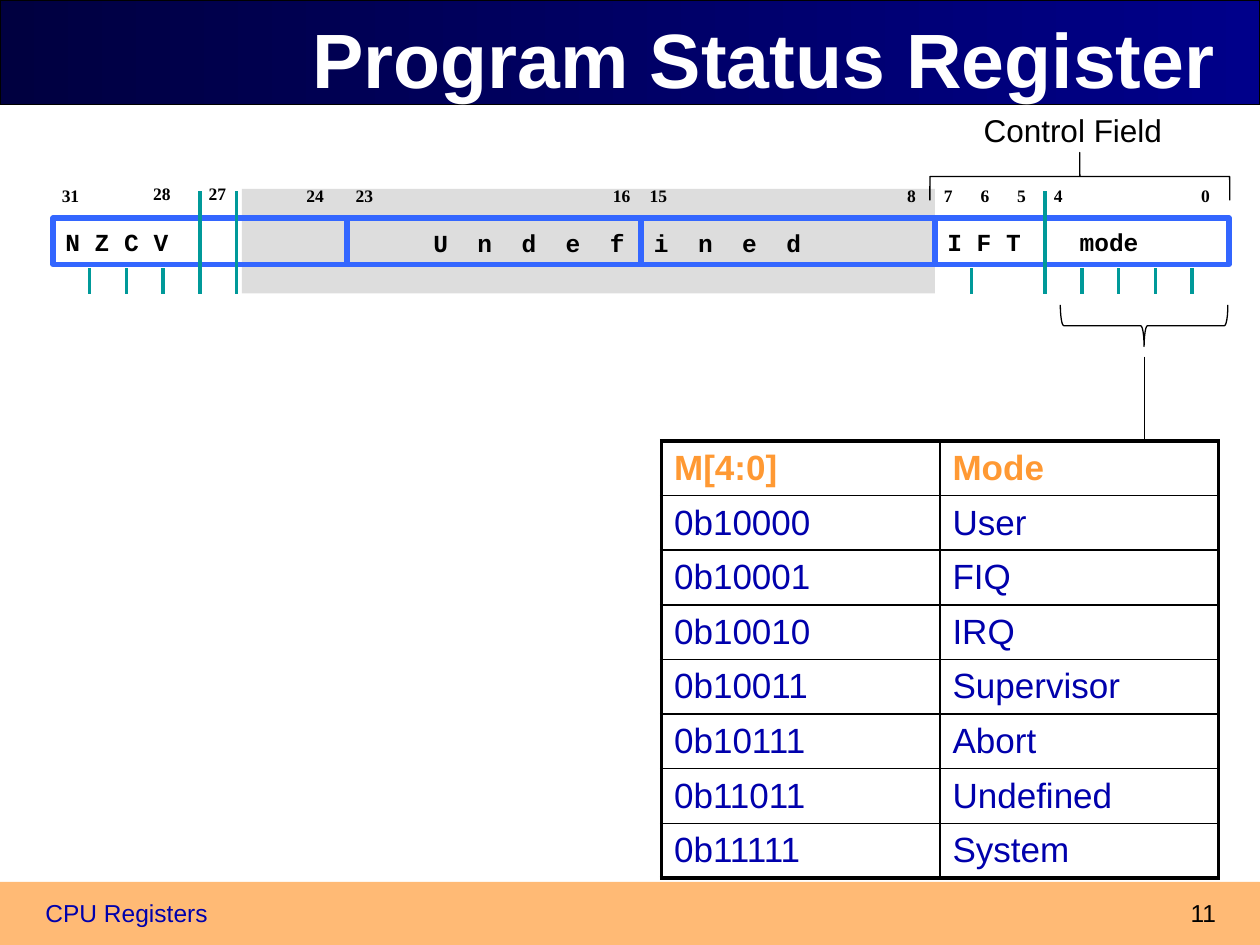
from lxml import etree
from pptx import Presentation, util as u
from pptx.dml import color
from pptx.enum import shapes, text
from pptx.oxml import ns

I = u.Inches
COLORS = {
    "black": "000000", "white": "FFFFFF", "navy": "000040", "blue": "00008A",
    "ink": "0000AC", "orange": "FF9933", "footer": "FFBA75", "grey": "DDDDDD",
    "field": "3366FF", "tick": "009999",
}
ALIGN = {"l": text.PP_ALIGN.LEFT, "c": text.PP_ALIGN.CENTER, "r": text.PP_ALIGN.RIGHT}
BIT = 7 / 24
MODES = [
    ("M[4:0]", "Mode"), ("0b10000", "User"), ("0b10001", "FIQ"),
    ("0b10010", "IRQ"), ("0b10011", "Supervisor"), ("0b10111", "Abort"),
    ("0b11011", "Undefined"), ("0b11111", "System"),
]


def rgb(name):
    return color.RGBColor.from_string(COLORS[name])


def write(tf, words, size=14, font="Arial", ink="black", bold=False, align="l",
          anchor=text.MSO_ANCHOR.TOP, inset=(0.1, 0.05), wrap=True, tracking=None, tab=None):
    tf.word_wrap = wrap
    tf.auto_size = text.MSO_AUTO_SIZE.NONE
    tf.vertical_anchor = anchor
    tf.margin_left = tf.margin_right = I(inset[0])
    tf.margin_top = tf.margin_bottom = I(inset[1])
    p = tf.paragraphs[0]
    p.alignment = ALIGN[align]
    r = p.add_run()
    r.text = words
    r.font.size, r.font.name, r.font.bold = u.Pt(size), font, bold
    r.font.color.rgb = rgb(ink)
    if tracking:
        r.font._element.set("spc", str(int(tracking * 100)))
    if tab:
        stops = etree.SubElement(p._p.get_or_add_pPr(), ns.qn("a:tabLst"))
        etree.SubElement(stops, ns.qn("a:tab"), pos=str(I(tab)), algn="l")


def add_text(s, box, words, **fmt):
    write(s.shapes.add_textbox(*map(I, box)).text_frame, words, **fmt)


def add_shape(s, box, kind=shapes.MSO_SHAPE.RECTANGLE, fill=None, line=None, width=0.75):
    sp = s.shapes.add_shape(kind, *map(I, box))
    sp.shadow.inherit = False
    if fill:
        sp.fill.solid()
        sp.fill.fore_color.rgb = rgb(fill)
    else:
        sp.fill.background()
    if line:
        sp.line.color.rgb = rgb(line)
        sp.line.width = u.Pt(width)
    else:
        sp.line.fill.background()
    return sp


def add_vertical(s, x, top, bottom, ink, width):
    c = s.shapes.add_connector(shapes.MSO_CONNECTOR.STRAIGHT, I(x), I(top), I(x), I(bottom))
    c.line.color.rgb = rgb(ink)
    c.line.width = u.Pt(width)
    etree.SubElement(c._element.spPr, ns.qn("a:effectLst"))


def add_brace(s, box, rotation, curve):
    sp = add_shape(s, box, shapes.MSO_SHAPE.RIGHT_BRACE, line="black")
    sp.rotation = rotation
    sp.adjustments[0], sp.adjustments[1] = curve, 0.5


def add_header(s, box):
    band = add_shape(s, box, line="black")
    band.fill.gradient()
    band.fill.gradient_angle = 0
    for stop, name in zip(band.fill.gradient_stops, ("navy", "blue")):
        stop.color.rgb = rgb(name)
    title = s.shapes.title
    title.left, title.top, title.width, title.height = map(I, (0.75, 0, 9, 0.92))
    write(title.text_frame, "Program Status Register", size=44, ink="white", bold=True,
          align="r", anchor=text.MSO_ANCHOR.MIDDLE)
    band._element.addnext(title._element)


def add_footer(s, box):
    left, top, width, height = box
    add_shape(s, box, fill="footer")
    add_text(s, (left - 0.58, top + 0.08, 3.17, 0.52), "CPU Registers", ink="ink", align="c")
    add_text(s, (left + width - 1.92, top + 0.08, 1.67, 0.33), "11", align="r")


def add_register(s, box):
    left, top, width, height = box
    code = dict(font="Courier New", bold=True, anchor=text.MSO_ANCHOR.MIDDLE)

    def bit_x(bit):
        return left + (31 - bit) * BIT

    add_shape(s, (1.92, top, 5.5, height), fill="grey")
    fields = {31: ("N Z C V", None), 23: None, 15: None, 7: ("I F T\tmode", 1.05)}
    for bit, label in fields.items():
        sp = add_shape(s, (bit_x(bit), top + 0.23, 8 * BIT, 0.37), line="field", width=3)
        if label:
            write(sp.text_frame, label[0], tab=label[1], **code)
    add_text(s, (2.42, top + 0.26, 4.96, 0.34), "U n d e f i n e d",
             align="c", tracking=4.2, **code)

    full_height = (27, 26, 4)
    for bit in (30, 29, 28, 27, 26, 6, 4, 3, 2, 1, 0):
        start = top + (0.02 if bit in full_height else 0.63)
        add_vertical(s, bit_x(bit), start, top + height, "tick", 2)

    nudges = {28: (-0.15, -0.02), 27: (0, -0.02), 24: (-0.1, 0)}
    for bit in (31, 28, 27, 24, 23, 16, 15, 8, 7, 6, 5, 4, 0):
        dx, dy = nudges.get(bit, (0, 0))
        add_text(s, (bit_x(bit) + dx, top - 0.06 + dy, 0.28 if bit > 9 else 0.22, 0.23),
                 str(bit), size=10, font="Times New Roman", bold=True,
                 inset=(0.07, 0.03), wrap=False)


def add_control_field(s, box):
    left, top, width, height = box
    add_text(s, (left + 0.32, top, 1.63, 0.4), "Control Field", size=18, align="c")
    add_brace(s, (left + width / 2 - 0.19, 0.21, 0.38, width), 270, 0.003)


def add_mode_link(s, box):
    left, top, width, height = box
    middle = left + width / 2
    add_brace(s, (middle - 0.17, 1.92, 0.33, width), 90, 0.083)
    add_vertical(s, middle, top + 0.41, top + height, "black", 0.75)


def set_borders(cell, widths):
    tc_pr = cell._tc.get_or_add_tcPr()
    for side, width in zip("LRTB", widths):
        ln = etree.SubElement(tc_pr, ns.qn(f"a:ln{side}"), w=str(u.Pt(width)))
        fill = etree.SubElement(ln, ns.qn("a:solidFill"))
        etree.SubElement(fill, ns.qn("a:srgbClr"), val=COLORS["black"])


def add_mode_table(s, box):
    rows, cols = len(MODES), len(MODES[0])
    table = s.shapes.add_table(rows, cols, *map(I, box)).table
    table.first_row = table.horz_banding = False
    for i, row in enumerate(MODES):
        for j, words in enumerate(row):
            cell = table.cell(i, j)
            head = i == 0
            write(cell.text_frame, words, size=20, ink="orange" if head else "ink", bold=head)
            cell.vertical_anchor = text.MSO_ANCHOR.MIDDLE
            cell.margin_left = cell.margin_right = I(0.1)
            cell.margin_top = cell.margin_bottom = I(0.05)
            outer = (j == 0, j == cols - 1, head, i == rows - 1)
            set_borders(cell, [2.25 if edge else 1 for edge in outer])
            cell.fill.background()


def main():
    prs = Presentation()
    prs.slide_width, prs.slide_height = I(10), I(7.5)
    s = prs.slides.add_slide(prs.slide_layouts[5])
    add_footer(s, (0, 7, 10, 0.5))
    add_header(s, (0, 0, 10, 0.83))
    add_mode_link(s, (8.42, 2.42, 1.33, 1.08))
    add_mode_table(s, (5.25, 3.5, 4.42, 3.47))
    add_register(s, (0.42, 1.5, 9.33, 0.83))
    add_control_field(s, (7.38, 0.83, 2.38, 0.76))
    prs.save("out.pptx")


if __name__ == "__main__":
    main()
